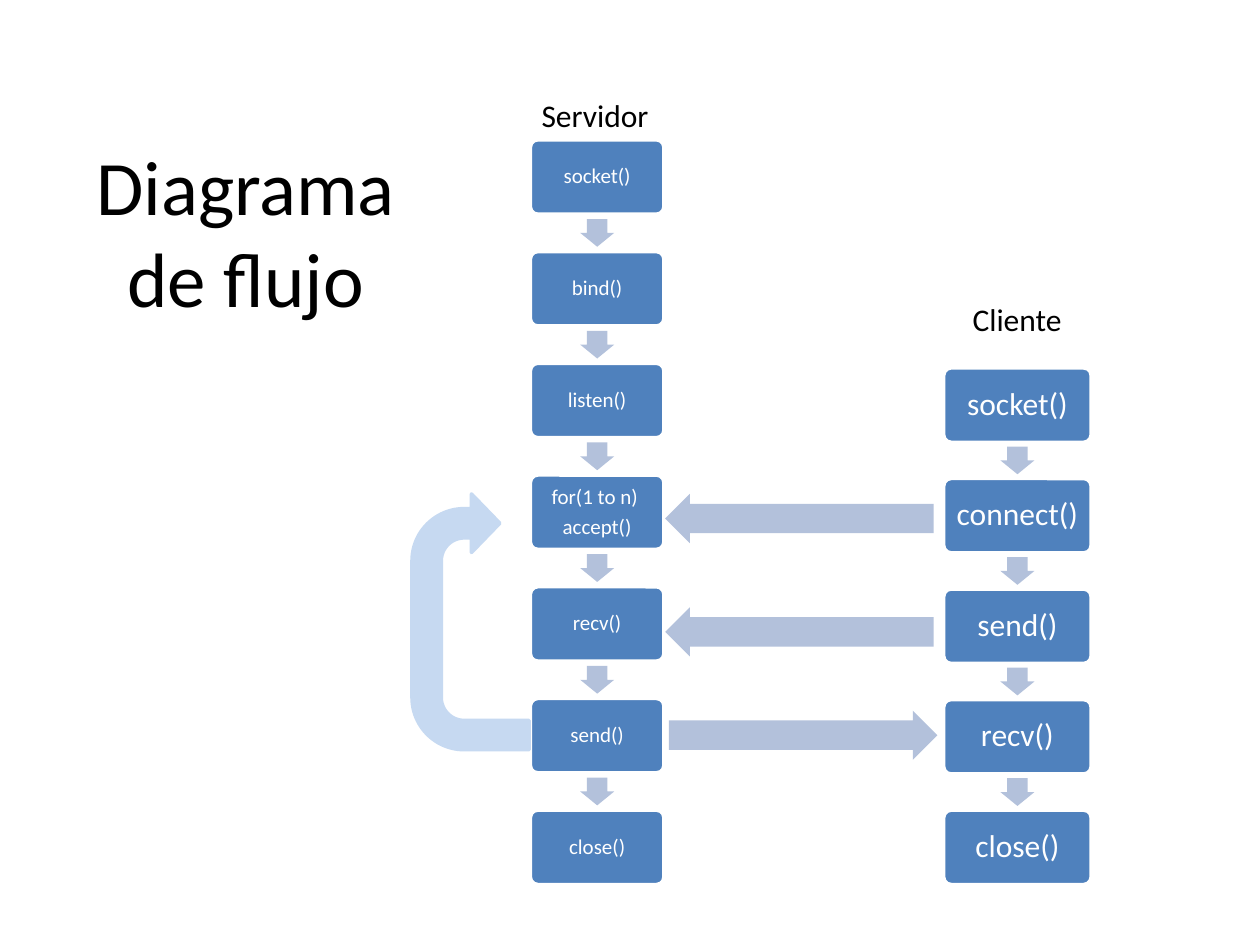
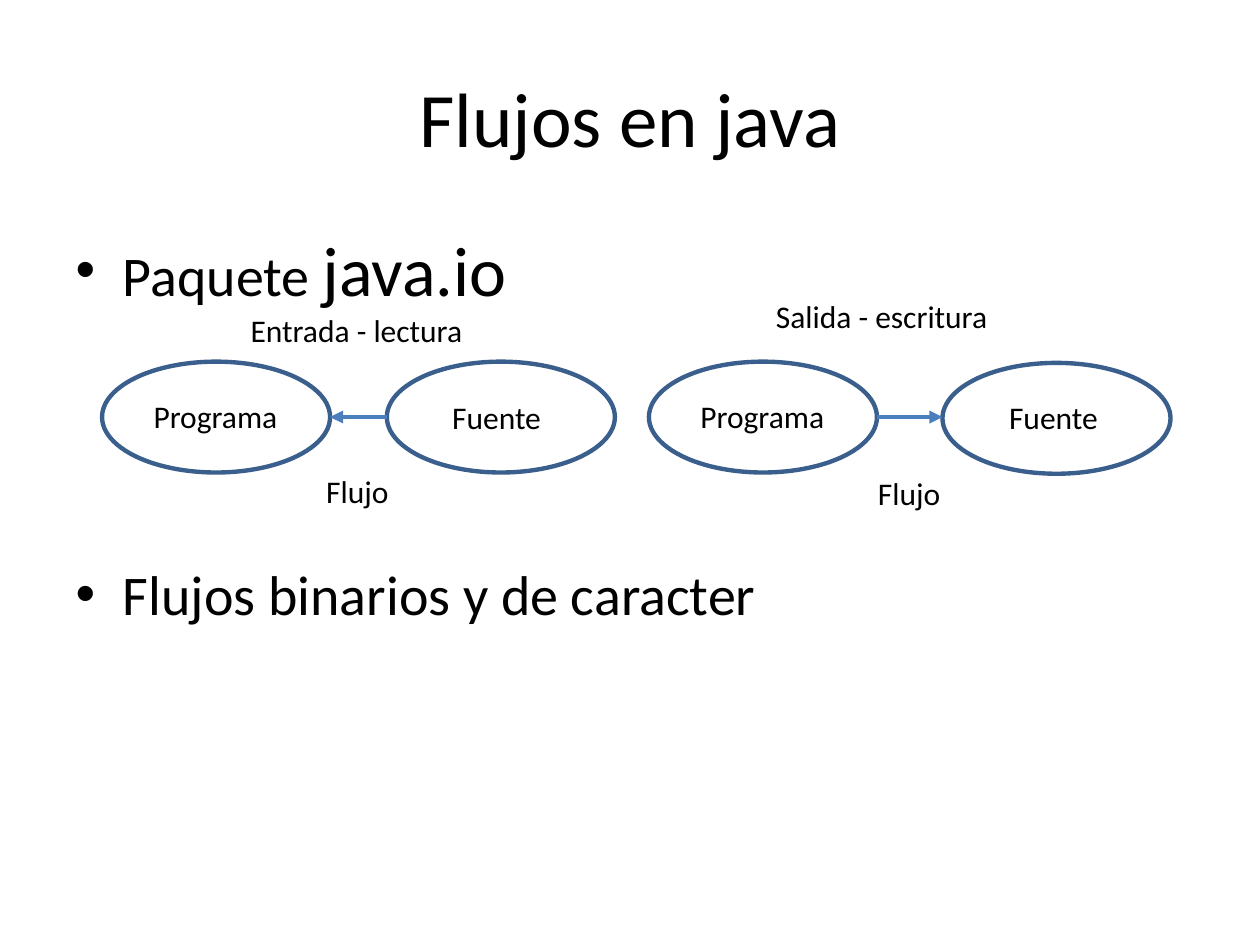
from lxml import etree
from pptx import Presentation
from pptx.dml.color import RGBColor
from pptx.enum import shapes, text
from pptx.oxml.ns import qn
from pptx.util import Inches, Pt

# Shared style
FONT = "Calibri"
BLACK = RGBColor(0x00, 0x00, 0x00)
WHITE = RGBColor(0xFF, 0xFF, 0xFF)
BLUE = RGBColor(0x4F, 0x81, 0xBD)
PALE_BLUE = RGBColor(0xB3, 0xC1, 0xDB)
LOOP_BLUE = RGBColor(0xC6, 0xD9, 0xF1)
OUTLINE_BLUE = RGBColor(0x3A, 0x5F, 0x8C)
ARROW_BLUE = RGBColor(0x4B, 0x7E, 0xBC)
CENTER = text.PP_ALIGN.CENTER
SHAPE = shapes.MSO_SHAPE

# Slide 1 content: two columns of calls that end on the same row
FLOW_TITLE = "Diagrama de flujo"
COLUMNS = [
    dict(steps=["socket()", "bind()", "listen()", "for(1 to n) \naccept()",
                "recv()", "send()", "close()"],
         left=4.21, top=1.11, width=1.06, size=12, inset=0.05),
    dict(steps=["socket()", "connect()", "send()", "recv()", "close()"],
         left=7.49, top=2.92, width=1.17, size=18, inset=0.07),
]
LAST_TOP, STEP_HEIGHT = 6.43, 0.59
MESSAGES = [(SHAPE.LEFT_ARROW, 5.28, 3.92), (SHAPE.LEFT_ARROW, 5.28, 4.82),
            (SHAPE.RIGHT_ARROW, 5.31, 5.64)]
FLOW_LABELS = [("Servidor", 4.2, 0.71, 1.06), ("Cliente", 7.62, 2.33, 0.92)]

# Slide 2 content
STREAM_TITLE = "Flujos en java"
BULLETS = [[("Paquete ", 32), ("java.io", 40)],
           [("Flujos binarios y de caracter", 32)]]
DIAGRAM_GAP = 142
ELLIPSES = [(0.81, 2.87), (3.07, 2.87), (5.15, 2.87), (7.48, 2.88)]
ELLIPSE_SIZE = (1.81, 0.88)
STREAM_ARROWS = [(3.07, 2.62), (6.96, 7.48)]
STREAM_ARROW_Y = 3.31
STREAM_LABELS = [
    ("Programa", 1.12, 3.1, 1.19), ("Fuente", 3.49, 3.11, 0.92),
    ("Programa", 5.46, 3.1, 1.19), ("Fuente", 7.91, 3.11, 0.92),
    ("Entrada - lectura", 1.89, 2.42, 1.9),
    ("Salida - escritura", 6.06, 2.31, 1.9),
    ("Flujo", 2.49, 3.7, 0.7), ("Flujo", 6.87, 3.71, 0.7),
]


def style_run(run, size, color=BLACK):
    run.font.name = FONT
    run.font.size = Pt(size)
    run.font.color.rgb = color


def write(frame, content, size=18, color=BLACK, align=None,
          line_spacing=None, space_after=None):
    for index, line in enumerate(content.split("\n")):
        paragraph = frame.add_paragraph() if index else frame.paragraphs[0]
        paragraph.alignment = align
        paragraph.line_spacing = line_spacing
        paragraph.space_after = space_after
        run = paragraph.add_run()
        run.text = line
        style_run(run, size, color)


def set_title(slide, content, left, top, width, height):
    title = slide.shapes.title
    title.left, title.top = Inches(left), Inches(top)
    title.width, title.height = Inches(width), Inches(height)
    title.text_frame.vertical_anchor = text.MSO_ANCHOR.MIDDLE
    write(title.text_frame, content, size=44, align=CENTER)


def add_shape(slide, kind, left, top, width, height, fill=None, line=None,
              line_width=2, adjustments=()):
    shape = slide.shapes.add_shape(kind, Inches(left), Inches(top),
                                   Inches(width), Inches(height))
    shape.shadow.inherit = False
    for part, color in ((shape.fill, fill), (shape.line.fill, line)):
        if color is None:
            part.background()
        else:
            part.solid()
            part.fore_color.rgb = color
    if line is not None:
        shape.line.width = Pt(line_width)
    for index, value in enumerate(adjustments):
        shape.adjustments[index] = value
    return shape


def add_block_arrow(slide, kind, left, top, width, height):
    return add_shape(slide, kind, left, top, width, height, fill=PALE_BLUE,
                     adjustments=(0.6, 0.5))


def add_labels(slide, labels):
    for content, left, top, width in labels:
        box = slide.shapes.add_textbox(Inches(left), Inches(top),
                                       Inches(width), Inches(0.4))
        box.text_frame.word_wrap = False
        box.text_frame.auto_size = text.MSO_AUTO_SIZE.SHAPE_TO_FIT_TEXT
        write(box.text_frame, content)


def add_column(slide, steps, left, top, width, size, inset):
    pitch = (LAST_TOP - top) / (len(steps) - 1)
    arrow_width, arrow_height = 0.27, 0.22
    for index, step in enumerate(steps):
        step_top = top + index * pitch
        box = add_shape(slide, SHAPE.ROUNDED_RECTANGLE, left, step_top, width,
                        STEP_HEIGHT, fill=BLUE, line=WHITE, adjustments=(0.1,))
        frame = box.text_frame
        frame.word_wrap = True
        frame.vertical_anchor = text.MSO_ANCHOR.MIDDLE
        frame.margin_left = frame.margin_right = Inches(inset)
        frame.margin_top = frame.margin_bottom = Inches(inset)
        write(frame, step, size=size, color=WHITE, align=CENTER,
              line_spacing=0.9, space_after=Pt(size * 0.35))
        if index:
            gap_middle = step_top - (pitch - STEP_HEIGHT) / 2
            add_block_arrow(slide, SHAPE.DOWN_ARROW,
                            left + (width - arrow_width) / 2,
                            gap_middle - arrow_height / 2,
                            arrow_width, arrow_height)


def add_arrow_line(slide, start, end, y):
    line = slide.shapes.add_connector(shapes.MSO_CONNECTOR.STRAIGHT, Inches(start),
                                      Inches(y), Inches(end), Inches(y))
    line.line.color.rgb = ARROW_BLUE
    line.line.width = Pt(2.5)
    etree.SubElement(line.line._get_or_add_ln(), qn("a:tailEnd"), type="triangle")
    etree.SubElement(line._element.spPr, qn("a:effectLst"))


def build_flow_slide(presentation):
    slide = presentation.slides.add_slide(presentation.slide_layouts[5])
    set_title(slide, FLOW_TITLE, 0.5, 0.3, 2.9, 3.06)
    for column in COLUMNS:
        add_column(slide, **column)
    for kind, left, top in MESSAGES:
        add_block_arrow(slide, kind, left, top, 2.13, 0.39)
    # Loop from send() back to accept()
    loop = add_shape(slide, SHAPE.U_TURN_ARROW, 2.72, 4.47, 2.03, 0.93,
                     fill=LOOP_BLUE, line=LOOP_BLUE,
                     adjustments=(0.25, 0.25, 0.242, 0.446, 0.75))
    loop.rotation = 270
    add_labels(slide, FLOW_LABELS)


def build_stream_slide(presentation):
    slide = presentation.slides.add_slide(presentation.slide_layouts[1])
    set_title(slide, STREAM_TITLE, 0.5, 0.3, 9, 1.25)
    # Bullets, with room for the diagram between them
    frame = slide.placeholders[1].text_frame
    for index, runs in enumerate(BULLETS):
        paragraph = frame.add_paragraph() if index else frame.paragraphs[0]
        if index:
            paragraph.space_before = Pt(DIAGRAM_GAP)
        for content, size in runs:
            run = paragraph.add_run()
            run.text = content
            style_run(run, size)
    # Reading and writing diagrams
    for left, top in ELLIPSES:
        add_shape(slide, SHAPE.OVAL, left, top, *ELLIPSE_SIZE,
                  line=OUTLINE_BLUE, line_width=2.5)
    for start, end in STREAM_ARROWS:
        add_arrow_line(slide, start, end, STREAM_ARROW_Y)
    add_labels(slide, STREAM_LABELS)


def main():
    presentation = Presentation()
    presentation.slide_width, presentation.slide_height = Inches(10), Inches(7.5)
    build_flow_slide(presentation)
    build_stream_slide(presentation)
    presentation.save("out.pptx")


if __name__ == "__main__":
    main()
